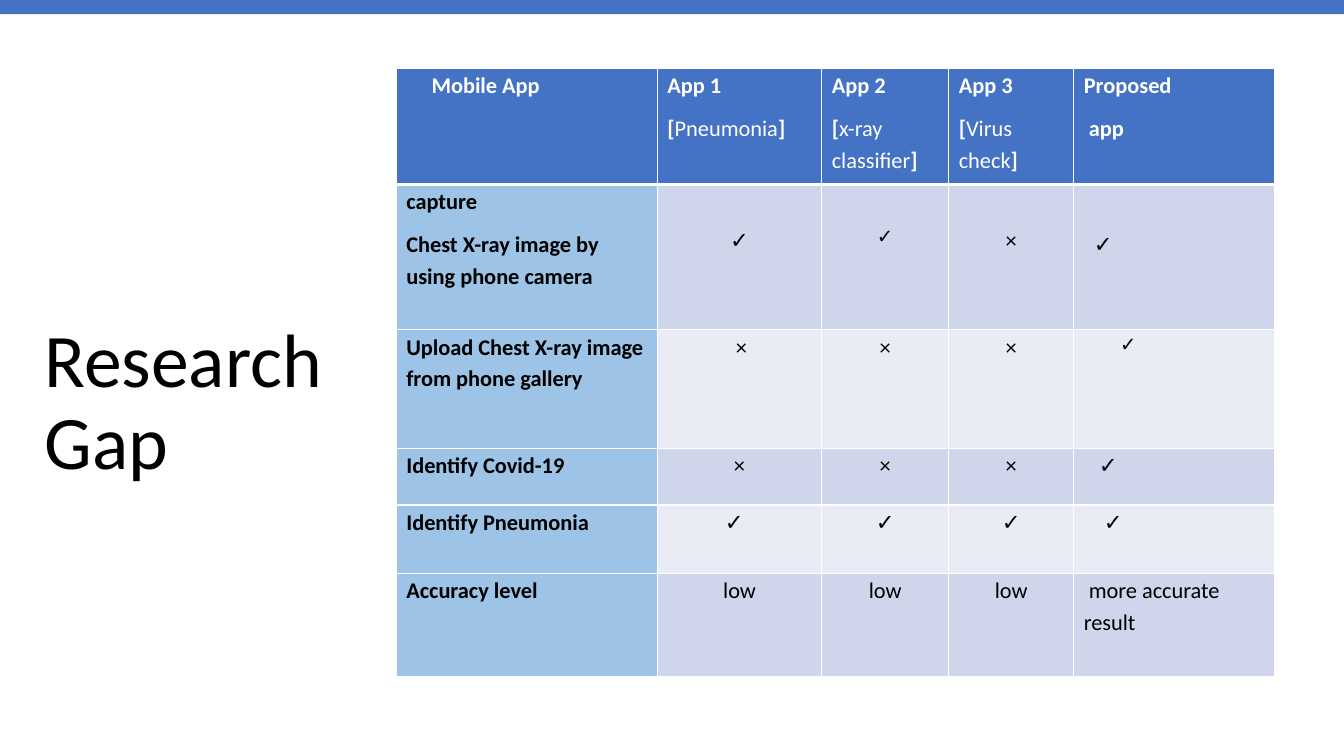
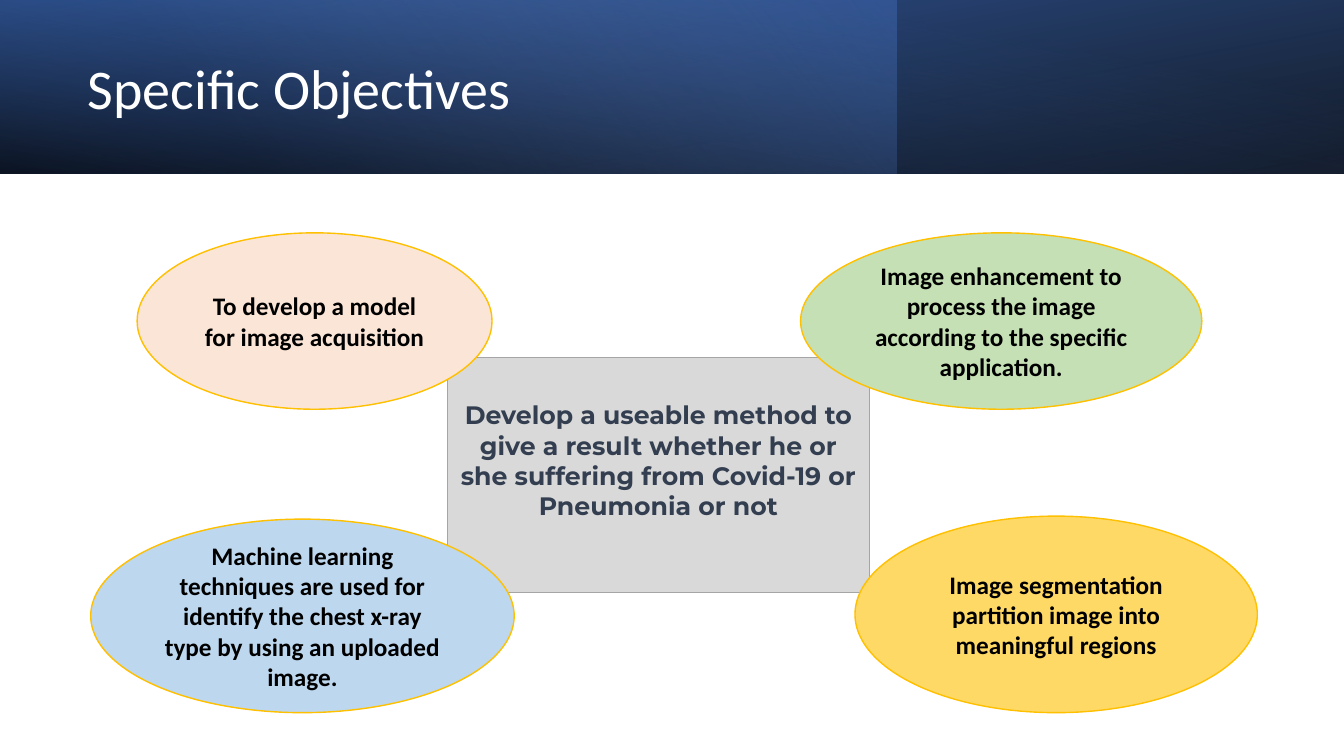
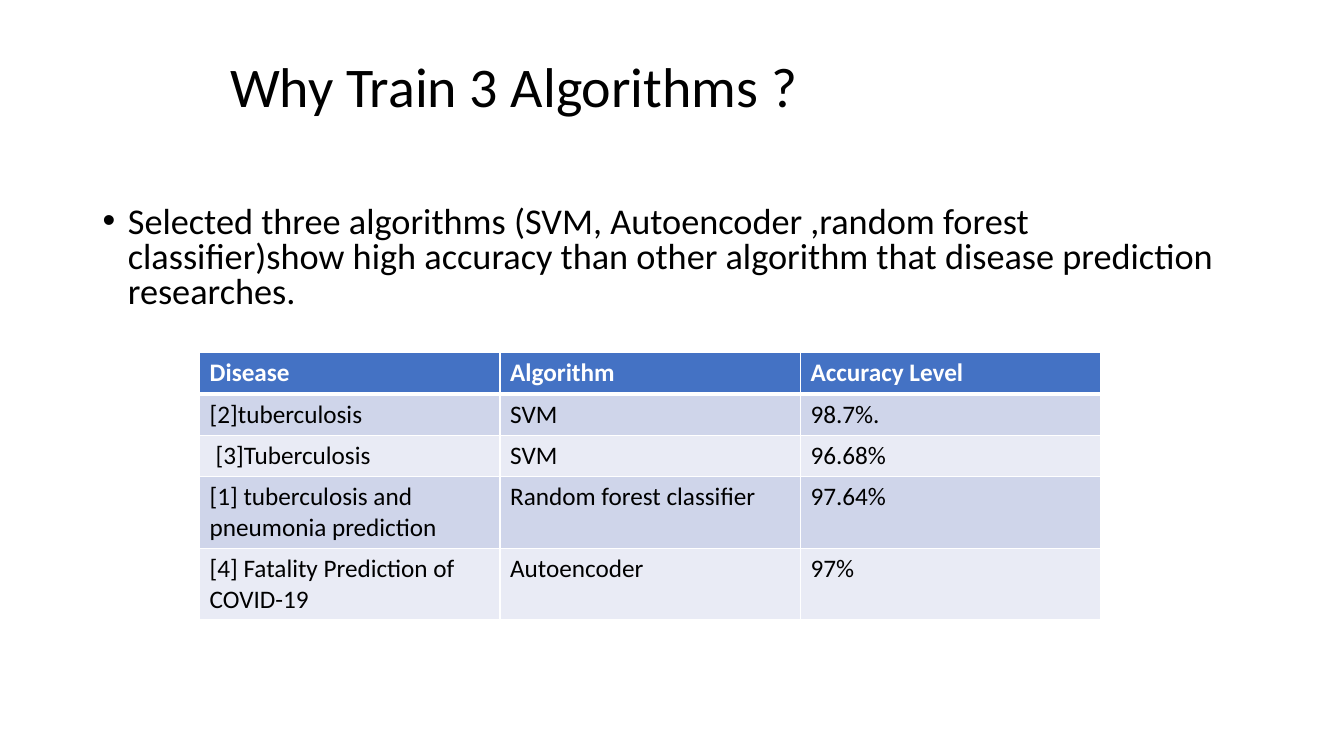
"""Build three slides on a chest X-ray diagnosis project."""
from dataclasses import dataclass

from lxml.etree import SubElement
from pptx import Presentation
from pptx.dml.color import RGBColor
from pptx.enum.shapes import MSO_SHAPE
from pptx.enum.text import MSO_ANCHOR, MSO_AUTO_SIZE, PP_ALIGN
from pptx.oxml.ns import qn
from pptx.util import Inches, Pt

FONT = "Calibri"
WHITE, BLACK, BLUE = "FFFFFF", "000000", "4472C4"
BANDS = ("CFD5EA", "E9EBF5")
LABEL_FILL = "9DC3E6"
AMBER, GREY = "FFC000", "A5A5A5"
WIDTH, HEIGHT = 13.33, 7.5
LEFT, CENTER = PP_ALIGN.LEFT, PP_ALIGN.CENTER


@dataclass
class Entry:
    """Text of a table cell, with its own placement where it has one."""
    text: str
    align: PP_ALIGN = LEFT
    indent: float = 0
    first_line: float = 0
    top: float = 0
    size: float = 0
    font: str = FONT


def rgb(code):
    """Turn a hex string into a colour."""
    return RGBColor.from_string(code)


def style(paragraph, size, color, bold=False, font=FONT, align=LEFT, spacing=None):
    """Format a whole paragraph."""
    paragraph.alignment = align
    paragraph.line_spacing = spacing
    paragraph.font.name = font
    paragraph.font.size = Pt(size)
    paragraph.font.bold = bold
    paragraph.font.color.rgb = rgb(color)


def indent(paragraph, left, first_line=0):
    """Set the left and first-line indents of a paragraph."""
    properties = paragraph._p.get_or_add_pPr()
    properties.set("marL", str(Inches(left)))
    properties.set("indent", str(Inches(first_line)))
    return properties


def new_slide(deck):
    """Add a title-only slide."""
    return deck.slides.add_slide(deck.slide_layouts[5])


def set_title(slide, text, place, size, color=BLACK, anchor=MSO_ANCHOR.BOTTOM, align=LEFT):
    """Move and format the title and bring it to the front."""
    title = slide.shapes.title
    title.left, title.top, title.width, title.height = map(Inches, place)
    frame = title.text_frame
    frame.text = text
    frame.word_wrap = True
    frame.auto_size = MSO_AUTO_SIZE.NONE
    frame.vertical_anchor = anchor
    style(frame.paragraphs[0], size, color, align=align, spacing=0.9)
    slide.shapes.element.append(title.element)


def add_panel(slide, kind, place, fill=None, line=None, line_width=1):
    """Add a preset shape with an optional plain fill and outline."""
    panel = slide.shapes.add_shape(kind, *map(Inches, place))
    panel.shadow.inherit = False
    if fill:
        panel.fill.solid()
        panel.fill.fore_color.rgb = rgb(fill)
    if line:
        panel.line.color.rgb = rgb(line)
        panel.line.width = Pt(line_width)
    else:
        panel.line.fill.background()
    return panel


def add_gradient_band(slide, width, angle, stops, flip=False, rotation=0):
    """Add a top band whose stops are (position, colour, opacity in percent)."""
    band = add_panel(slide, MSO_SHAPE.RECTANGLE, (0, 0, width, 1.72))
    band.rotation = rotation
    properties = band.element.spPr
    if flip:
        properties.xfrm.set("flipH", "1")
    band.fill.gradient()
    band.fill.gradient_angle = 360 - angle
    for stop, (position, color, _) in zip(band.fill.gradient_stops, stops):
        stop.position = position / 100
        stop.color.rgb = rgb(color)
    for color, (_, _, opacity) in zip(properties.iter(qn("a:srgbClr")), stops):
        SubElement(color, qn("a:alpha"), val=str(opacity * 1000))


def write_panel(panel, text, color=BLACK, font=FONT, bottom=0.05):
    """Write bold centred text into a shape."""
    frame = panel.text_frame
    frame.word_wrap = True
    frame.vertical_anchor = MSO_ANCHOR.MIDDLE
    frame.margin_bottom = Inches(bottom)
    frame.text = text
    style(frame.paragraphs[0], 18, color, True, font, CENTER)


def set_borders(cell, top=1, bottom=1):
    """Draw white borders round a cell."""
    properties = cell._tc.get_or_add_tcPr()
    widths = (("lnL", 1), ("lnR", 1), ("lnT", top), ("lnB", bottom))
    for place, (side, width) in enumerate(widths):
        line = SubElement(properties, qn(f"a:{side}"), w=str(Pt(width)))
        fill = SubElement(line, qn("a:solidFill"))
        SubElement(fill, qn("a:srgbClr"), val=WHITE)
        properties.insert(place, line)


def add_grid(slide, left, top, columns, heights):
    """Add a bordered table with a blue header over banded rows."""
    grid = slide.shapes.add_table(
        len(heights), len(columns), Inches(left), Inches(top),
        Inches(sum(columns)), Inches(sum(heights))).table
    for column, width in zip(grid.columns, columns):
        column.width = Inches(width)
    for number, (row, height) in enumerate(zip(grid.rows, heights)):
        row.height = Inches(height)
        for cell in row.cells:
            cell.fill.solid()
            cell.fill.fore_color.rgb = rgb(BANDS[(number - 1) % 2] if number else BLUE)
            set_borders(cell, 3 if number == 1 else 1, 1 if number else 3)
    return grid


def write_cell(cell, entry, size, color, bold=False, spacing=None, after=None):
    """Write an entry, one paragraph per line, into a cell."""
    frame = cell.text_frame
    frame.text = entry.text
    for paragraph in frame.paragraphs:
        indent(paragraph, entry.indent, entry.first_line)
        if after:
            paragraph.space_after = Pt(after)
        style(paragraph, entry.size or size, color, bold, entry.font, entry.align, spacing)


def write_app_name(cell, name, product):
    """Write an app name over its product in bold brackets."""
    write_cell(cell, Entry(f"{name}\n["), 16, WHITE, True, 1.15, 8)
    bracketed = cell.text_frame.paragraphs[1]
    for text, bold in ((product, False), ("]", True)):
        run = bracketed.add_run()
        run.text = text
        run.font.bold = bold


def build_research_gap(deck):
    """Compare the proposed app with three others."""
    slide = new_slide(deck)
    set_title(slide, "Research Gap", (0.34, 0.78, 4.12, 4.09), 54)
    add_panel(slide, MSO_SHAPE.RECTANGLE, (0, 0, WIDTH, 0.14), BLUE)
    grid = add_grid(slide, 3.93, 0.68, (2.59, 1.63, 1.26, 1.24, 1.99),
                    (1.15, 1.44, 1.18, 0.56, 0.68, 1.02))
    yes, no, low = (Entry(text, CENTER) for text in ("✓", "×", "low"))
    features = (
        ("capture\nChest X-ray image by using phone camera",
         Entry("✓", CENTER, top=0.38), Entry("✓", CENTER, top=0.38, size=14, font="Arial"),
         Entry("×", CENTER, top=0.38), Entry("✓", indent=0.1, top=0.42)),
        ("Upload Chest X-ray image from phone gallery",
         Entry("×", CENTER, indent=0.04), no, no, Entry("✓", indent=0.36, size=14)),
        ("Identify Covid-19", no, no, no, Entry("✓", indent=0.15)),
        ("Identify Pneumonia", Entry("✓", indent=0.57), yes, yes, Entry("✓", indent=0.2)),
        ("Accuracy level", low, low, low, Entry("more accurate result", first_line=0.05)),
    )
    for cell in grid.iter_cells():
        cell.margin_top = cell.margin_bottom = 0
    write_cell(grid.cell(0, 0), Entry("Mobile App", indent=0.25), 16, WHITE, True, 1.15, 8)
    products = ("Pneumonia", "x-ray classifier", "Virus check")
    for number, product in enumerate(products, 1):
        write_app_name(grid.cell(0, number), f"App {number}", product)
    proposed = grid.cell(0, 4)
    write_cell(proposed, Entry("Proposed\napp"), 16, WHITE, True, 1.15, 8)
    indent(proposed.text_frame.paragraphs[1], 0.05)
    for row, (feature, *ratings) in enumerate(features, 1):
        label = grid.cell(row, 0)
        label.fill.fore_color.rgb = rgb(LABEL_FILL)
        write_cell(label, Entry(feature), 16, BLACK, True, 1.15, 8)
        for column, rating in enumerate(ratings, 1):
            cell = grid.cell(row, column)
            cell.margin_top = Inches(rating.top)
            write_cell(cell, rating, 16, BLACK, False, 1.15, 8)


def build_objectives(deck):
    """Set four objectives round the main goal."""
    slide = new_slide(deck)
    add_gradient_band(slide, WIDTH, 100, ((0, BLACK, 96), (100, "2F5597", 100)), True, 180)
    add_gradient_band(slide, 8.89, 140, ((0, BLUE, 41), (74, "8FAADC", 0)))
    add_gradient_band(slide, WIDTH, 260, ((0, BLACK, 63), (78, BLUE, 15)), True)
    set_title(slide, "Specific Objectives", (0.77, 0.27, 7.72, 1.27), 40, WHITE,
              MSO_ANCHOR.MIDDLE)
    goal = add_panel(slide, MSO_SHAPE.RECTANGLE, (4.44, 3.55, 4.18, 2.33), "D9D9D9", GREY, 0.5)
    write_panel(goal, "Develop a useable method to give a result whether he or she "
                "suffering from Covid-19 or Pneumonia or not", "333F50", "Montserrat", 0.35)
    objectives = (
        ((1.36, 2.31, 3.52, 1.75), "FBE5D6", "To develop a model for image acquisition"),
        ((7.94, 2.31, 3.98, 1.75), "C5E0B4",
         "Image enhancement to process the image according to the specific application."),
        ((8.48, 5.12, 3.99, 1.95), "FFD966",
         "Image segmentation partition image into meaningful regions"),
        ((0.9, 5.15, 4.2, 1.92), "BDD7EE",
         "Machine learning techniques are used for identify the chest x-ray type "
         "by using an uploaded image."),
    )
    for place, fill, text in objectives:
        write_panel(add_panel(slide, MSO_SHAPE.OVAL, place, fill, AMBER), text)


def add_bullet(slide, text, place):
    """Add a text box with one bulleted paragraph."""
    frame = slide.shapes.add_textbox(*map(Inches, place)).text_frame
    frame.word_wrap = True
    frame.text = text
    paragraph = frame.paragraphs[0]
    properties = indent(paragraph, 0.25, -0.25)
    SubElement(properties, qn("a:buFont"), typeface="Arial")
    SubElement(properties, qn("a:buChar"), char="•")
    style(paragraph, 25.9, BLACK, spacing=0.8)


def build_algorithms(deck):
    """List the accuracy of the chosen algorithms."""
    slide = new_slide(deck)
    add_bullet(slide, "Selected three algorithms (SVM, Autoencoder ,random forest "
               "classifier)show high accuracy than other algorithm that disease "
               "prediction researches.", (0.92, 2, 11.5, 1.15))
    set_title(slide, "Why Train 3 Algorithms ?", (0.63, 0.27, 8.93, 0.97), 40, align=CENTER)
    studies = (
        ("Disease", "Algorithm", "Accuracy Level"),
        ("[2]tuberculosis", "SVM", "98.7%."),
        ("[3]Tuberculosis", "SVM", "96.68%"),
        ("[1] tuberculosis and pneumonia prediction", "Random forest classifier", "97.64%"),
        ("[4] Fatality Prediction of COVID-19", "Autoencoder", "97%"),
    )
    grid = add_grid(slide, 1.98, 3.5, (2.98,) * 3, (0.41,) * 3 + (0.71,) * 2)
    for row, study in enumerate(studies):
        for column, text in enumerate(study):
            entry = Entry(text, indent=0.06 if (row, column) == (2, 0) else 0)
            write_cell(grid.cell(row, column), entry, 18, BLACK if row else WHITE, not row)


def main():
    """Build and save the deck."""
    deck = Presentation()
    deck.slide_width, deck.slide_height = Inches(WIDTH), Inches(HEIGHT)
    build_research_gap(deck)
    build_objectives(deck)
    build_algorithms(deck)
    deck.save("out.pptx")


if __name__ == "__main__":
    main()
